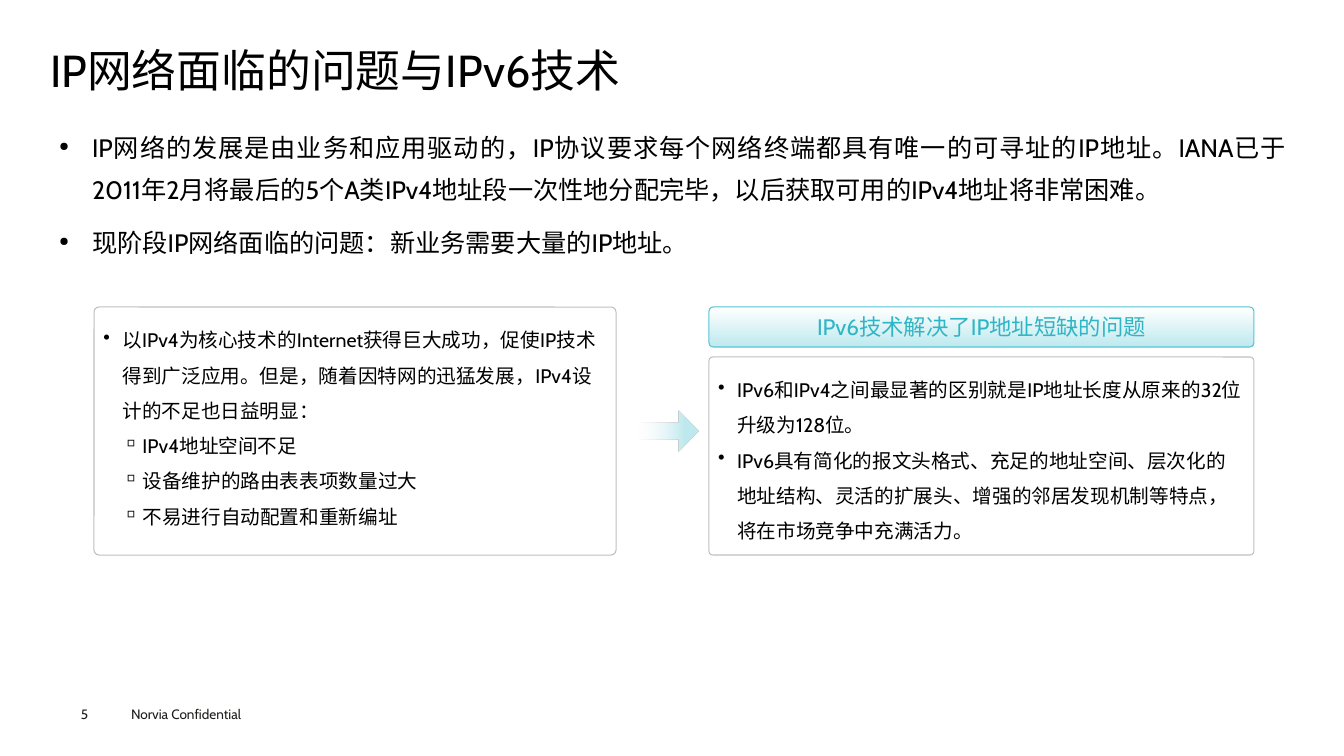
"""Build the slide on IP network problems and IPv6 technology."""
from lxml import etree
from pptx import Presentation
from pptx import util as u
from pptx.dml.color import RGBColor
from pptx.enum import shapes, text
from pptx.oxml.ns import qn

PX = int(914400 / 100.8)
BLACK, GREY, INK = "000000", "BFBFBF", "1D1D1B"
PALE, TEAL, EDGE = "BEE9EE", "30B5C5", "56C4D2"


def paint(value):
    return RGBColor.from_string(value)


def write(frame, content, size=14, color=BLACK, align=None, line=None, before=None,
          bullet=None, bullet_size=None, indent=0, hang=0):
    para = frame.paragraphs[0]
    if para.runs:
        para = frame.add_paragraph()
        para.space_before = before
    para.alignment, para.line_spacing = align, line
    if bullet:
        props = para._p.get_or_add_pPr()
        props.set("marL", str(indent * PX))
        props.set("indent", str(-hang * PX))
        if bullet_size:
            etree.SubElement(props, qn("a:buSzPct"), val=str(bullet_size * 1000))
        etree.SubElement(props, qn("a:buChar"), char=bullet)
    span = para.add_run()
    span.text = content
    span.font.name, span.font.size = "Cabin", u.Pt(size)
    span.font.color.rgb = paint(color)


deck = Presentation()
deck.slide_width, deck.slide_height = 1344 * PX, 756 * PX
page = deck.slides.add_slide(deck.slide_layouts[6])

frames = {}
for name, bounds, side, top in (
    ("owner", (121, 701, 161, 27), 10, 5),
    ("number", (81, 706, 55, 16), 0, 0),
    ("title", (50, 49, 1245, 53), 0, 0),
    ("body", (50, 116, 1245, 211), 9, 4),
):
    box = page.shapes.add_textbox(*(n * PX for n in bounds))
    frame = frames[name] = box.text_frame
    frame.word_wrap = True
    frame.margin_left = frame.margin_right = side * PX
    frame.margin_top = frame.margin_bottom = top * PX

write(frames["owner"], "Norvia Confidential", size=9.7, color=INK)
write(frames["number"], "5", size=9.7, color=INK)
write(frames["title"], "IP网络面临的问题与IPv6技术", size=32, line=0.9)
for content in (
    "IP网络的发展是由业务和应用驱动的，IP协议要求每个网络终端都具有唯一的可寻址的IP地址。"
    "IANA已于2011年2月将最后的5个A类IPv4地址段一次性地分配完毕，以后获取可用的IPv4地址将非常困难。",
    "现阶段IP网络面临的问题：新业务需要大量的IP地址。",
):
    write(frames["body"], content, size=18, align=text.PP_ALIGN.JUSTIFY, line=1.4,
          before=u.Pt(7.9), bullet="●", bullet_size=50, indent=33, hang=33)

main = {"bullet": "•", "indent": 19, "hang": 19}
sub = {"bullet": "▫", "indent": 39, "hang": 20}
problems = (
    ("以IPv4为核心技术的Internet获得巨大成功，促使IP技术得到广泛应用。"
     "但是，随着因特网的迅猛发展，IPv4设计的不足也日益明显：", main),
    ("IPv4地址空间不足", sub),
    ("设备维护的路由表表项数量过大", sub),
    ("不易进行自动配置和重新编址", sub),
)
benefits = (
    ("IPv6和IPv4之间最显著的区别就是IP地址长度从原来的32位升级为128位。", main),
    ("IPv6具有简化的报文头格式、充足的地址空间、层次化的地址结构、灵活的扩展头、"
     "增强的邻居发现机制等特点，将在市场竞争中充满活力。", main),
)
for bounds, items in (((94, 307, 522, 248), problems), ((709, 357, 545, 198), benefits)):
    panel = page.shapes.add_shape(shapes.MSO_SHAPE.ROUNDED_RECTANGLE, *(n * PX for n in bounds))
    panel.adjustments[0] = 0.02
    panel.shadow.inherit = False
    panel.fill.background()
    panel.line.color.rgb, panel.line.width = paint(GREY), u.Pt(0.75)
    frame = panel.text_frame
    frame.word_wrap, frame.vertical_anchor = True, text.MSO_ANCHOR.TOP
    frame.margin_left = frame.margin_right = frame.margin_top = frame.margin_bottom = 8 * PX
    for content, style in items:
        write(frame, content, align=text.PP_ALIGN.LEFT, line=1.5, **style)

header = page.shapes.add_shape(
    shapes.MSO_SHAPE.ROUNDED_RECTANGLE, 709 * PX, 307 * PX, 545 * PX, 40 * PX)
header.adjustments[0] = 0.11
header.line.color.rgb, header.line.width = paint(EDGE), u.Pt(0.75)
header.text_frame.word_wrap = True
header.text_frame.vertical_anchor = text.MSO_ANCHOR.MIDDLE
write(header.text_frame, "IPv6技术解决了IP地址短缺的问题", size=16, color=TEAL,
      align=text.PP_ALIGN.CENTER)

arrow = page.shapes.add_shape(
    shapes.MSO_SHAPE.RIGHT_ARROW, 627 * PX, 411 * PX, 71 * PX, 40 * PX)
arrow.adjustments[0], arrow.adjustments[1] = 0.4, 0.5
arrow.line.fill.background()

for shape, angle, stops in (
    (header, 270, ((0, "FFFFFF"), (1, PALE))),
    (arrow, 0, ((0.15, "F7FAFD"), (0.81, PALE))),
):
    shape.shadow.inherit = False
    shape.fill.gradient()
    shape.fill.gradient_angle = angle
    for stop, (position, color) in zip(shape.fill.gradient_stops, stops):
        stop.position, stop.color.rgb = position, paint(color)
clear = arrow._element.xpath(".//a:gs/a:srgbClr")[0]
etree.SubElement(clear, qn("a:alpha"), val="0")

deck.save("out.pptx")
